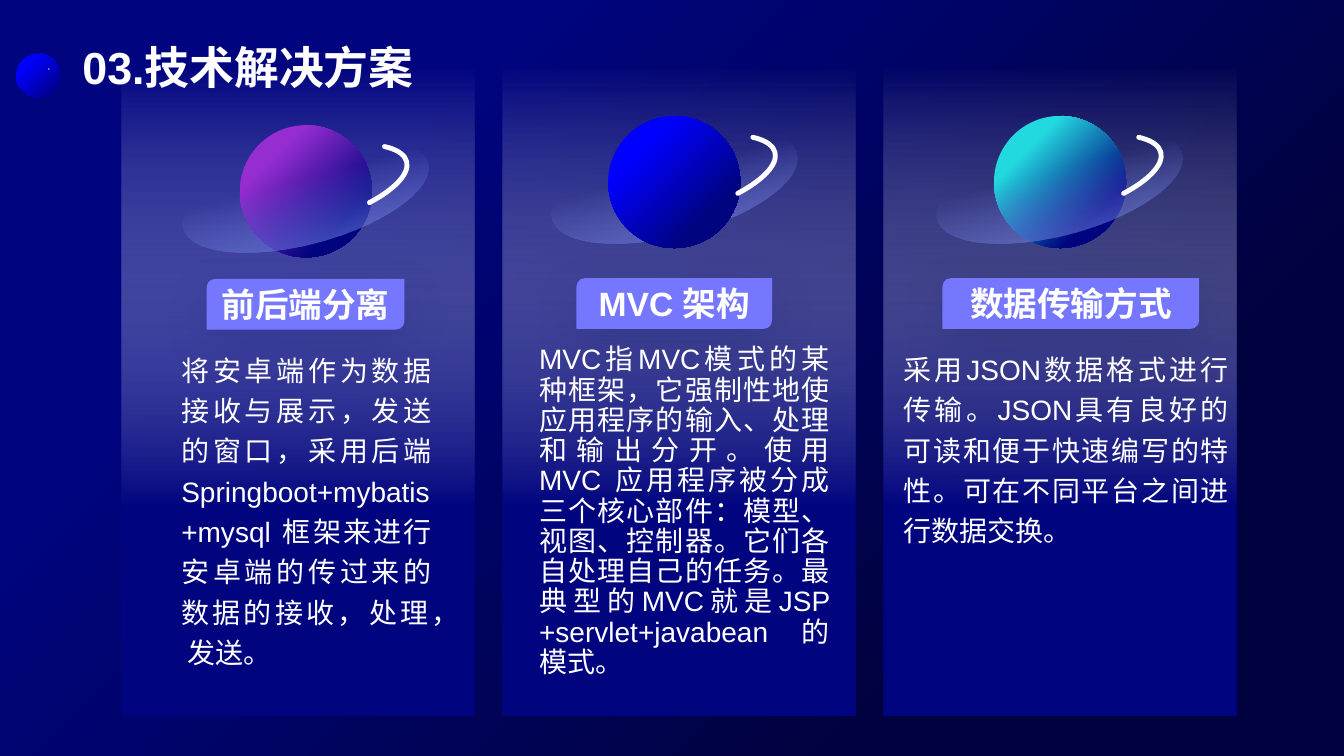
from lxml import etree
from pptx import Presentation
from pptx.dml.color import RGBColor
from pptx.enum import shapes, text
from pptx.oxml import ns
from pptx.util import Pt

COLORS = {
    "white": "FFFFFF", "navy": "00047F", "night": "000240",
    "blue": "0000FF", "deep": "000080", "purple": "952DD0",
    "cyan": "23D9E0", "ring": "7687E8", "tag": "7578FF",
    "moon": "D1D7F7", "shadow": "111E68",
}
ROTATION = 345.1


def paint_gradient(fill, first, last, angle):
    """Fill with two (position, colour) stops, angle running clockwise."""
    fill.gradient()
    fill.gradient_angle = 360 - angle
    for stop, (position, color) in zip(fill.gradient_stops, (first, last)):
        stop.position = position
        stop.color.rgb = RGBColor.from_string(COLORS[color])


def add_plain_shape(kind, left, top, width, height):
    shape = slide.shapes.add_shape(kind, Pt(left), Pt(top), Pt(width), Pt(height))
    shape.shadow.inherit = False
    shape.line.fill.background()
    return shape


presentation = Presentation()
presentation.slide_width, presentation.slide_height = Pt(960), Pt(540)
slide = presentation.slides.add_slide(presentation.slide_layouts[6])
paint_gradient(slide.background.fill, (0.25, "navy"), (0.76, "night"), 45)

# Small planet and its moon beside the title
planet = add_plain_shape(shapes.MSO_SHAPE.OVAL, 11.5, 38.2, 31.3, 31.3)
paint_gradient(planet.fill, (0.25, "blue"), (0.95, "deep"), 45)
moon = add_plain_shape(shapes.MSO_SHAPE.OVAL, 34.4, 48.8, 0.9, 0.9)
moon.fill.solid()
moon.fill.fore_color.rgb = RGBColor.from_string(COLORS["moon"])

# Cards: planet colour, planet centre, tag box, text box, line spacing, wording
CARDS = [
    ("purple", (218.5, 136.6), (147.6, 199.2, 141.3), (122.4, 244, 193, 240), 1.2,
     "前后端分离",
     "将安卓端作为数据接收与展示，发送的窗口，采用后端 Springboot+mybatis+mysql "
     "框架来进行安卓端的传过来的数据的接收，处理， 发送。"),
    ("blue", (481.6, 130), (411.8, 198.7, 139.7), (378, 243.4, 221.8, 247), 0.9,
     "MVC 架构",
     "MVC指MVC模式的某种框架，它强制性地使应用程序的输入、处理和输出分开。使用 MVC "
     "应用程序被分成三个核心部件：模型、视图、控制器。它们各自处理自己的任务。"
     "最典型的MVC就是JSP +servlet+javabean 的模式。"),
    ("cyan", (757.2, 130), (673.2, 198.7, 183.4), (638.4, 243.4, 246.5, 152.6), 1.2,
     "数据传输方式",
     "采用JSON数据格式进行传输。JSON具有良好的可读和便于快速编写的特性。"
     "可在不同平台之间进行数据交换。"),
]
labels = [((51.8, 27.4, 424, 43.2), "03.技术解决方案", 32, True, 0.9,
           text.PP_ALIGN.LEFT, text.MSO_ANCHOR.BOTTOM)]

for index, (color, center, tag_box, body_box, spacing, heading, body) in enumerate(CARDS):
    center_x, center_y = center

    # Card panel that fades in from the top
    panel = add_plain_shape(shapes.MSO_SHAPE.RECTANGLE, 87 + 272.2 * index, 48.2, 252, 462.8)
    paint_gradient(panel.fill, (0, "white"), (0.68, "navy"), 90)

    # Planet and ring; the blue planet stands in front of its ring
    planet = add_plain_shape(shapes.MSO_SHAPE.OVAL, center_x - 47.2, center_y - 47.2, 94.4, 94.4)
    paint_gradient(planet.fill, (0.25, color), (0.76, "navy"), 45)
    ring = add_plain_shape(shapes.MSO_SHAPE.OVAL, center_x - 90.4, center_y - 31.4, 180.8, 69)
    ring.rotation = ROTATION
    paint_gradient(ring.fill, (0.42, "ring"), (1, "ring"), 90)
    if color == "blue":
        ring._element.addnext(planet._element)
    for faded in (panel, ring):
        first_color = faded._element.spPr.xpath(".//a:gs/a:srgbClr")[0]
        etree.SubElement(first_color, ns.qn("a:alpha"), val="0")

    # Bright orbit arc
    arc = add_plain_shape(shapes.MSO_SHAPE.ARC, center_x - 74.5, center_y - 28, 149, 51.8)
    arc.rotation = ROTATION
    arc.adjustments[0], arc.adjustments[1] = 208.17, 16.55
    arc.fill.background()
    arc.line.color.rgb = RGBColor.from_string(COLORS["white"])
    arc.line.width = Pt(3.5)
    arc.line._get_or_add_ln().set("cap", "rnd")

    # Heading tag with a soft shadow
    tag_left, tag_top, tag_width = tag_box
    tag = add_plain_shape(shapes.MSO_SHAPE.ROUND_2_DIAG_RECTANGLE,
                          tag_left, tag_top, tag_width, 36.2)
    tag.fill.solid()
    tag.fill.fore_color.rgb = RGBColor.from_string(COLORS["tag"])
    effects = tag._element.spPr.find(ns.qn("a:effectLst"))
    shadow = etree.SubElement(effects, ns.qn("a:outerShdw"), blurRad=str(Pt(32)),
                              dist=str(Pt(11)), dir="5400000", algn="t", rotWithShape="0")
    shadow_color = etree.SubElement(shadow, ns.qn("a:srgbClr"), val=COLORS["shadow"])
    etree.SubElement(shadow_color, ns.qn("a:alpha"), val="17000")
    labels.append((tag, heading, 24, True, 1, text.PP_ALIGN.CENTER, text.MSO_ANCHOR.MIDDLE))
    labels.append((body_box, body, 20, False, spacing,
                   text.PP_ALIGN.JUSTIFY, text.MSO_ANCHOR.TOP))

# Title, headings and body texts
for place, wording, size, bold, spacing, alignment, anchor in labels:
    if isinstance(place, tuple):
        shape = slide.shapes.add_textbox(*map(Pt, place))
    else:
        shape = place
    frame = shape.text_frame
    frame.word_wrap = True
    frame.vertical_anchor = anchor
    paragraph = frame.paragraphs[0]
    paragraph.text = wording
    paragraph.alignment = alignment
    paragraph.line_spacing = spacing
    paragraph.font.name = "Arial"
    paragraph.font.size = Pt(size)
    paragraph.font.bold = bold
    paragraph.font.color.rgb = RGBColor.from_string(COLORS["white"])

presentation.save("out.pptx")
